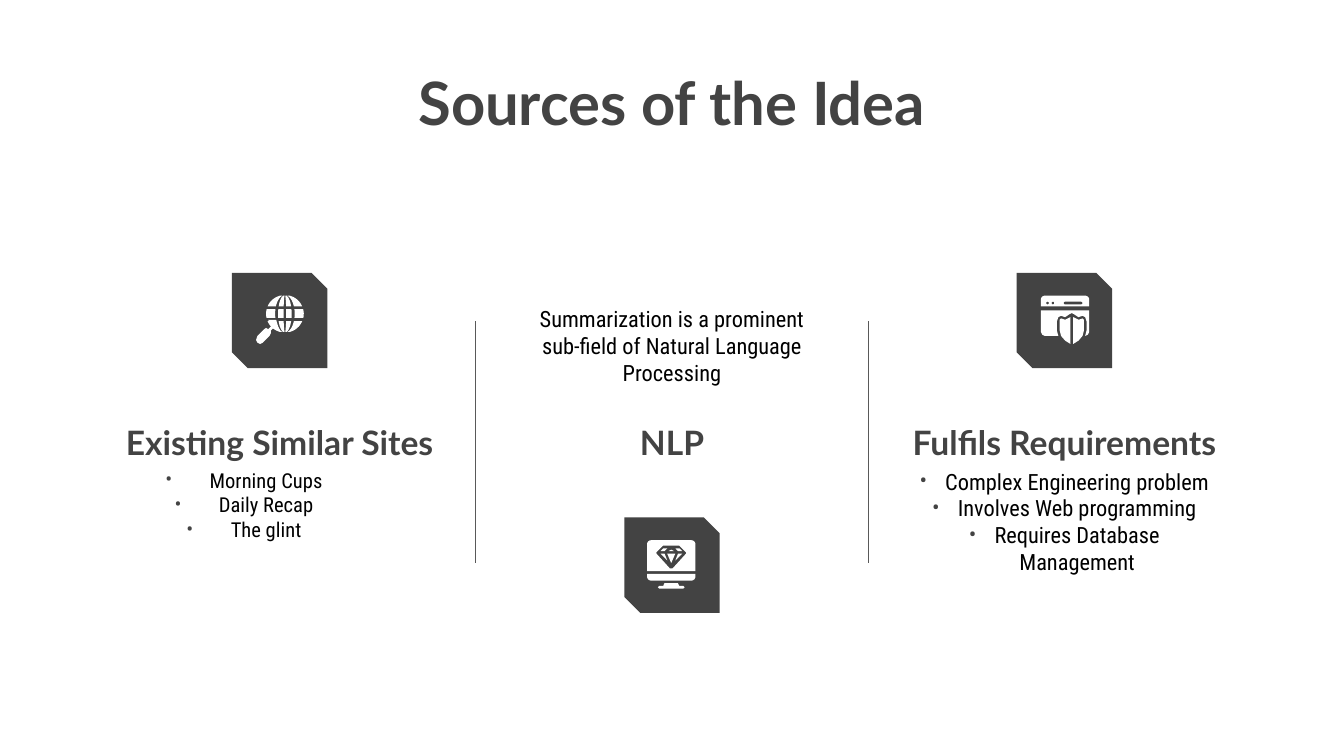
from dataclasses import dataclass
from math import cos, pi, sin, sqrt

from lxml import etree
from pptx import Presentation
from pptx.dml.color import RGBColor
from pptx.enum.shapes import MSO_CONNECTOR, MSO_SHAPE
from pptx.enum.text import MSO_ANCHOR, MSO_AUTO_SIZE, PP_ALIGN
from pptx.oxml.ns import qn
from pptx.util import Inches, Pt

TOP, BOTTOM = MSO_ANCHOR.TOP, MSO_ANCHOR.BOTTOM
CENTER, FIXED = PP_ALIGN.CENTER, MSO_AUTO_SIZE.NONE
SNIPPED, STRAIGHT = MSO_SHAPE.SNIP_2_DIAG_RECTANGLE, MSO_CONNECTOR.STRAIGHT

CHARCOAL = RGBColor(0x43, 0x43, 0x43)
GREY = RGBColor(0x59, 0x59, 0x59)
BLACK = RGBColor(0, 0, 0)
WHITE = RGBColor(0xFF, 0xFF, 0xFF)
HEAD_FONT, BODY_FONT = "Lato", "Roboto Condensed"

# Widescreen slide and a grid of three columns, in inches
SLIDE_W = 10
SLIDE_H = SLIDE_W * 9 / 16
COLUMN_W = 2.92
MARGIN = (SLIDE_W - 3 * COLUMN_W) / 2
HEADING_TOP, HEADING_H = 3.07, 0.47
BODY_W, BODY_H = 2.43, 1.1
BADGE = 0.71
RULE_TOP, RULE_BOTTOM = 2.39, 4.19

Point = tuple[float, float]
Contour = list[Point]
Part = list[Contour]  # outer contour, then its holes


@dataclass
class Column:
    heading: str
    lines: list[str]
    body_top: float
    badge_top: float
    icon: list[Part]
    size: float = 12
    indent: float = 0  # text indent; 0 means no bullets
    hang: float = 0
    body_w: float = BODY_W
    shift: float = 0


# Icon geometry, in hundredths of an inch from the badge's corner
def mirror(points: Contour, axis: float) -> Contour:
    return [(2 * axis - x, y) for x, y in points]


def rounded(left: float, top: float, right: float, bottom: float,
            upper: float = 0, lower: float = 0) -> Contour:
    corners = [(right, bottom, -1, -1, lower), (left, bottom, 1, -1, lower),
               (left, top, 1, 1, upper), (right, top, -1, 1, upper)]
    points = []
    for quarter, (x, y, dx, dy, r) in enumerate(corners):
        for step in range(7 if r else 1):
            angle = (quarter + step / 6) * pi / 2
            points.append((x + dx * r + r * cos(angle), y + dy * r + r * sin(angle)))
    return points


def globe_icon() -> list[Part]:
    cx, cy, radius = 39.5, 30.5, 14
    bands = [(-13.5, -5.5), (-3.5, 3), (5.5, 13.5)]
    slices = [(-1, -0.52), (-0.36, -0.07), (0.07, 0.36), (0.52, 1)]

    def edge(share: float, ys: list[float]) -> Contour:
        return [(cx + share * sqrt(radius ** 2 - y ** 2), cy + y) for y in ys]

    parts = []
    for start, end in bands:
        ys = [start + (end - start) * step / 8 for step in range(9)]
        parts += [[edge(west, ys) + edge(east, ys[::-1])] for west, east in slices]
    handle = [(27, 35), (30, 39), (27, 42), (25.5, 41), (24, 42), (19, 47), (18, 50),
              (19, 52), (21, 53), (23, 52), (28, 47), (29, 45), (29, 43), (31, 41),
              (36, 43), (34.5, 40), (33, 35)]
    return parts + [[handle]]


def monitor_icon() -> list[Part]:
    axis = 35
    gem = [(29, 21), (28, 22), (24, 26), (24, 27), (34, 38)]
    crown = [(29, 23), (27, 25), (30, 25), (32, 23)]
    pavilion = [(27, 27), (32, 32), (30, 27)]
    return [
        [rounded(17, 17, 53, 40, upper=3), gem + mirror(gem, axis)[::-1]],
        [rounded(17, 42, 53, 47, lower=3)],
        [[(30, 49), (29, 51), (26, 51), (25, 52), (26, 53),
          (44, 53), (45, 52), (44, 51), (41, 51), (40, 49)]],
        [[(35, 24), (33, 25), (37, 25)]],
        [[(32, 27), (35, 34), (38, 27)]],
        [crown], [mirror(crown, axis)], [pavilion], [mirror(pavilion, axis)],
    ]


def shield_icon() -> list[Part]:
    axis = 41
    notch = [(31, 47), (30, 43), (30, 36), (31, 33), (33, 32), (36, 33), (39, 31)]
    half = [(40, 33), (36, 35), (33, 34), (32, 35), (32, 43), (33, 47), (36, 50.5), (40, 53)]
    window = ([(18, 28), (18, 44), (19, 46), (21, 47)] + notch + [(41, 30)]
              + mirror(notch, axis)[::-1] + [(53, 46), (54, 44), (54, 28)])
    return [
        [rounded(18, 17, 54, 25, upper=3), rounded(22, 21.5, 24, 23.5, 1, 1),
         rounded(26, 21.5, 28, 23.5, 1, 1), rounded(35, 21.5, 49, 23.5, 1, 1)],
        [window], [half], [mirror(half, axis)],
    ]


# Drawing
def fill_plain(shape, color: RGBColor) -> None:
    shape.shadow.inherit = False
    shape.fill.solid()
    shape.fill.fore_color.rgb = color
    shape.line.fill.background()


def draw_badge(slide, left: float, top: float, icon: list[Part]) -> None:
    group = slide.shapes.add_group_shape()
    plate = group.shapes.add_shape(SNIPPED, Inches(left), Inches(top), Inches(BADGE), Inches(BADGE))
    fill_plain(plate, CHARCOAL)
    for part in icon:
        contours = [[(Inches(left + x / 100), Inches(top + y / 100)) for x, y in contour]
                    for contour in part]
        builder = group.shapes.build_freeform(*contours[0][0])
        builder.add_line_segments(contours[0][1:])
        for hole in contours[1:]:
            builder.move_to(*hole[0])
            builder.add_line_segments(hole[1:])
        fill_plain(builder.convert_to_shape(), WHITE)


def add_bullet(paragraph, indent: float, hang: float) -> None:
    props = paragraph._p.get_or_add_pPr()
    props.set("marL", str(Inches(indent)))
    props.set("indent", str(-Inches(hang)))
    color = etree.SubElement(props, qn("a:buClr"))
    etree.SubElement(color, qn("a:srgbClr")).set("val", str(CHARCOAL))
    etree.SubElement(props, qn("a:buFont")).set("typeface", BODY_FONT)
    etree.SubElement(props, qn("a:buChar")).set("char", "•")


def write(box, lines: list[str], size: float, font: str, color: RGBColor, bold: bool = False,
          anchor=TOP, indent: float = 0, hang: float = 0) -> None:
    frame = box.text_frame
    frame.word_wrap, frame.auto_size, frame.vertical_anchor = True, FIXED, anchor
    frame.margin_left = frame.margin_right = Inches(0.1)
    frame.margin_top = frame.margin_bottom = Inches(0.1)
    for index, line in enumerate(lines):
        paragraph = frame.paragraphs[0] if index == 0 else frame.add_paragraph()
        paragraph.alignment = CENTER
        if indent:
            add_bullet(paragraph, indent, hang)
        run = paragraph.add_run()
        run.text = line
        run.font.name, run.font.size, run.font.bold = font, Pt(size), bold
        run.font.color.rgb = color


def draw_rule(slide, x: float) -> None:
    rule = slide.shapes.add_connector(STRAIGHT, Inches(x), Inches(RULE_TOP),
                                      Inches(x), Inches(RULE_BOTTOM))
    rule.line.color.rgb, rule.line.width = GREY, Pt(0.75)
    etree.SubElement(rule._element.spPr, qn("a:effectLst"))


def draw_column(slide, index: int, column: Column) -> None:
    left = MARGIN + index * COLUMN_W
    middle = left + COLUMN_W / 2
    heading = slide.shapes.add_textbox(Inches(left), Inches(HEADING_TOP),
                                       Inches(COLUMN_W), Inches(HEADING_H))
    write(heading, [column.heading], 18, HEAD_FONT, CHARCOAL, True, BOTTOM)
    body = slide.shapes.add_textbox(Inches(middle + column.shift - column.body_w / 2),
                                    Inches(column.body_top), Inches(column.body_w), Inches(BODY_H))
    write(body, column.lines, column.size, BODY_FONT, BLACK,
          indent=column.indent, hang=column.hang)
    draw_badge(slide, middle - BADGE / 2, column.badge_top, column.icon)
    if index:
        draw_rule(slide, left)


COLUMNS = [
    Column("Existing Similar Sites", ["Morning Cups", "Daily Recap", "The glint"],
           3.38, 2.03, globe_icon(), 11, 0.5, 0.33, COLUMN_W, -0.35),
    Column("NLP", ["Summarization is a prominent sub-field of Natural Language Processing"],
           2.17, 3.85, monitor_icon()),
    Column("Fulfils Requirements", ["Complex Engineering problem", "Involves Web programming",
                                    "Requires Database Management"],
           3.38, 2.03, shield_icon(), indent=0.19, hang=0.19),
]


def main() -> None:
    deck = Presentation()
    deck.slide_width, deck.slide_height = Inches(SLIDE_W), Inches(SLIDE_H)
    slide = deck.slides.add_slide(deck.slide_layouts[5])
    title = slide.shapes.title
    title.left, title.top, title.width, title.height = map(Inches, (2.15, 0.39, 5.7, 1.03))
    write(title, ["Sources of the Idea"], 32, HEAD_FONT, CHARCOAL, True)
    for index, column in enumerate(COLUMNS):
        draw_column(slide, index, column)
    deck.save("out.pptx")


if __name__ == "__main__":
    main()
